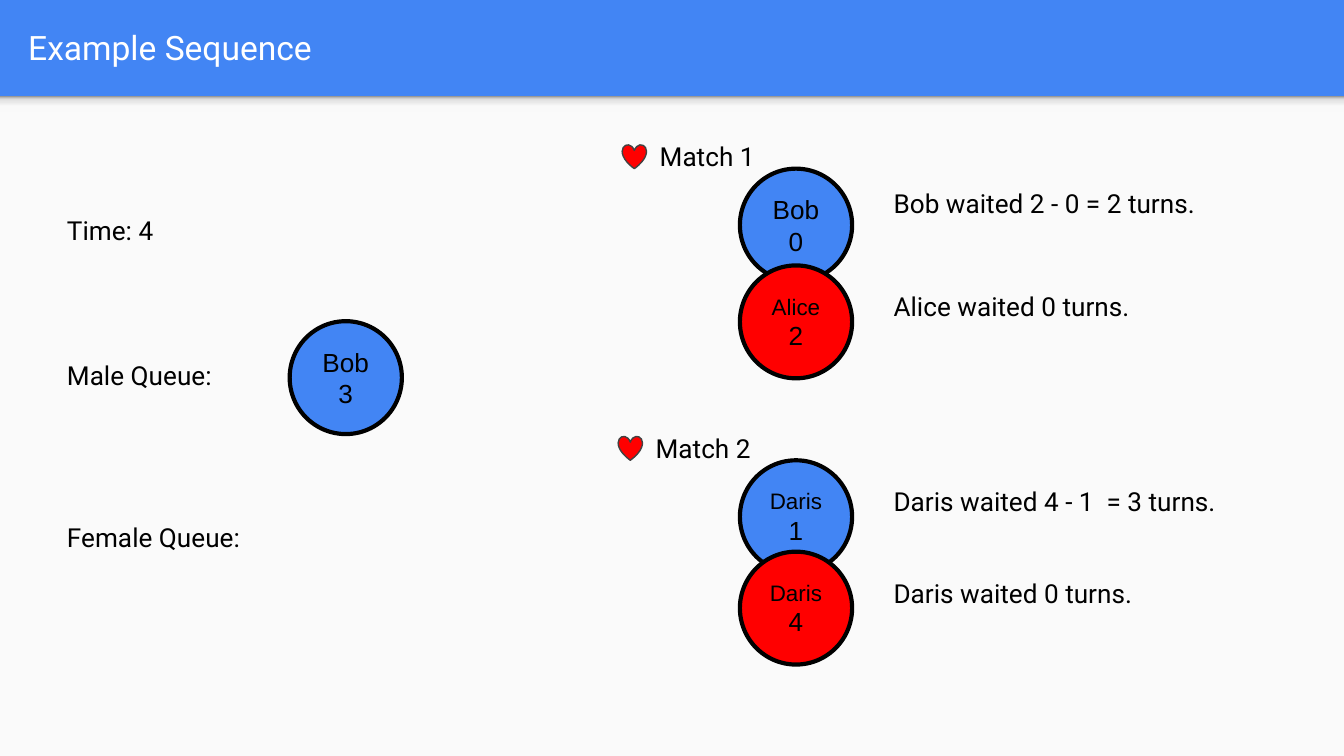
import copy

import pptx
import pptx.dml.color
import pptx.enum.shapes
import pptx.enum.text
import pptx.oxml.ns
import pptx.util

COLS, ROWS = 100, 56.25
CELL = pptx.util.Inches(0.1)
BLUE, RED, BLACK = "4285F4", "FF0000", "000000"
KIND = pptx.enum.shapes.MSO_SHAPE
ALIGN = pptx.enum.text.PP_ALIGN
ANCHOR = pptx.enum.text.MSO_ANCHOR


def grid(*cells):
    """Turn counts of grid cells into lengths."""
    return [pptx.util.Emu(round(n * CELL)) for n in cells]


def paint(color, tone):
    """Give a colour object the value of a hex string."""
    color.rgb = pptx.dml.color.RGBColor.from_string(tone)


def write(shape, lines, sizes=(14,), font="Roboto", tone=BLACK,
          align=ALIGN.LEFT, anchor=ANCHOR.TOP):
    """Write one formatted paragraph per line into a shape."""
    frame = shape.text_frame
    frame.word_wrap = True
    frame.auto_size = pptx.enum.text.MSO_AUTO_SIZE.NONE
    frame.vertical_anchor = anchor
    frame.margin_left, frame.margin_top = grid(1, 1)
    frame.margin_right, frame.margin_bottom = grid(1, 1)
    frame.text = "\n".join(lines)
    for para, size in zip(frame.paragraphs, sizes):
        para.alignment = align
        run = para.runs[0].font
        run.name, run.size = font, pptx.util.Pt(size)
        paint(run.color, tone)


def form(slide, kind, box, tone, edge=None, width=0):
    """Add a filled preset shape with an optional outline."""
    shape = slide.shapes.add_shape(kind, *grid(*box))
    shape.shadow.inherit = False
    shape.fill.solid()
    paint(shape.fill.fore_color, tone)
    if edge:
        paint(shape.line.color, edge)
        shape.line.width = pptx.util.Pt(width)
    else:
        shape.line.fill.background()
    return shape


def shade(slide, box, stops):
    """Add a band that fades upward through the given stops."""
    band = form(slide, KIND.RECTANGLE, box, stops[0][1])
    band.fill.gradient()
    band.fill.gradient_angle = 90
    items = band._element.spPr.find(".//" + pptx.oxml.ns.qn("a:gsLst"))
    while len(items) < len(stops):
        items.append(copy.deepcopy(items[0]))
    for stop, (place, tone) in zip(band.fill.gradient_stops, stops):
        stop.position = place
        paint(stop.color, tone)


def label(slide, text, box):
    """Add a line of plain text."""
    write(slide.shapes.add_textbox(*grid(*box)), [text])


def person(slide, left, top, name, turn, tone):
    """Add a circle with a name and an arrival time."""
    disc = form(slide, KIND.FLOWCHART_CONNECTOR, (left, top, 8.35, 8.4),
                tone, BLACK, 2.25)
    size = 14 if len(name) < 4 else 12
    write(disc, [name, turn], sizes=(size, 14), font="Arial",
          align=ALIGN.CENTER, anchor=ANCHOR.MIDDLE)


def match(slide, title, left, top, pair):
    """Add a heart, a heading and the two people of a match."""
    label(slide, title, (left, top, 12.9, 3.1))
    form(slide, KIND.HEART, (left - 1.8, top + 1.3, 1.8, 1.8),
         RED, "424242", 0.75)
    for tone, (name, turn, high, note, row) in zip((BLUE, RED), pair):
        person(slide, 55.05, high, name, turn, tone)
        label(slide, note, (65.5, row, 31.2, 6.6))


def main():
    """Build the slide and save it."""
    deck = pptx.Presentation()
    deck.slide_width, deck.slide_height = grid(COLS, ROWS)
    slide = deck.slides.add_slide(deck.slide_layouts[5])
    slide.background.fill.solid()
    paint(slide.background.fill.fore_color, BLUE)

    title = slide.shapes.title
    title.left, title.top, title.width, title.height = grid(1.1, 0.2, 96.5, 6.6)
    write(title, ["Example Sequence"], sizes=(18,), tone="FFFFFF",
          anchor=ANCHOR.MIDDLE)

    form(slide, KIND.RECTANGLE, (0, 7.15, COLS, ROWS - 7.15), "FAFAFA")
    shade(slide, (0, 7.15, COLS, 1.2),
          [(0, "F9F9F9"), (0.36, "F9F9F9"), (0.8, "DEDEDE"), (1, "999999")])

    for text, top in (("Time: 4 ", 14.95), ("Male Queue: ", 25.75),
                      ("Female Queue: ", 37.8)):
        label(slide, text, (4, top, 16.7, 4.8))
    person(slide, 21.55, 23.9, "Bob", "3", BLUE)

    match(slide, "Match 1", 48.1, 9.45, [
        ("Bob", "0", 12.55, "Bob waited 2 - 0 = 2 turns.", 12.95),
        ("Alice", "2", 19.75, "Alice waited 0 turns.", 20.6)])
    match(slide, "Match 2", 47.8, 31.15, [
        ("Daris", "1", 34.25, "Daris waited 4 - 1  = 3 turns.", 35.1),
        ("Daris", "4", 41.05, "Daris waited 0 turns.", 42)])
    deck.save("out.pptx")


main()
